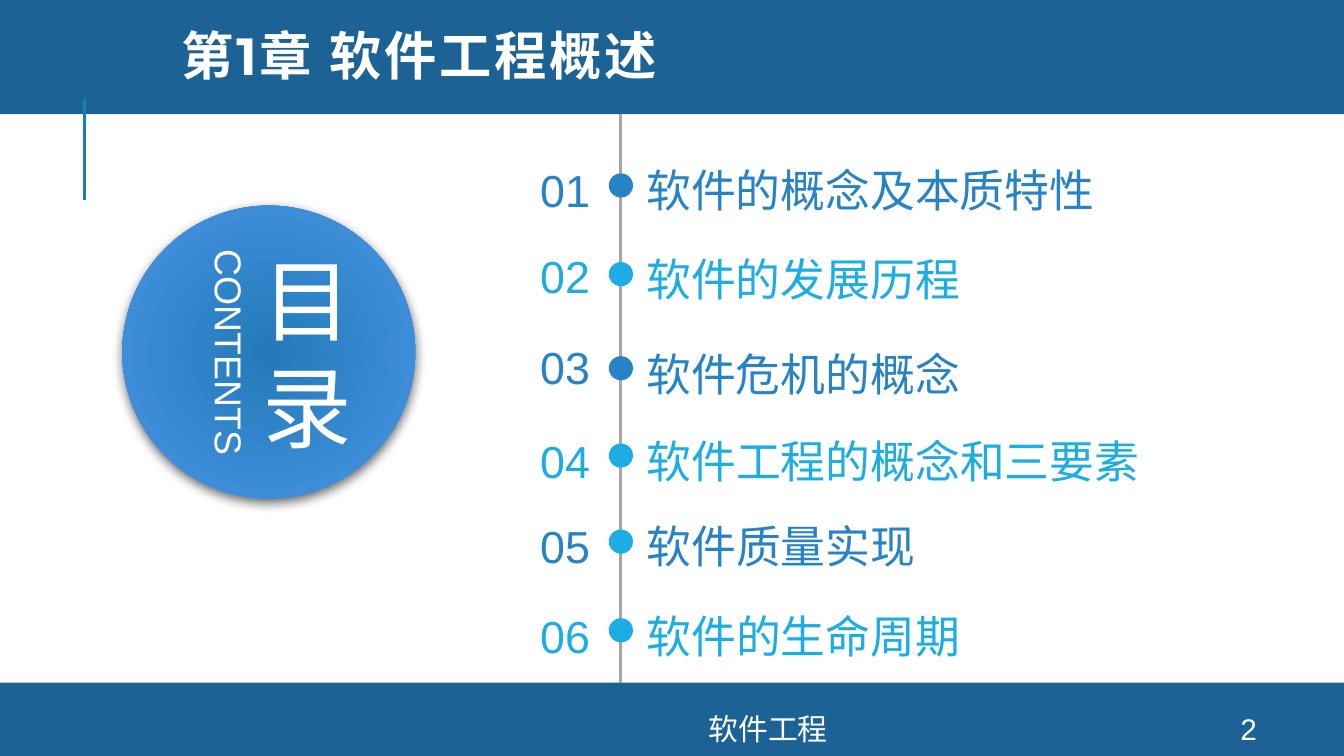
from dataclasses import dataclass

from lxml.etree import SubElement
from pptx import Presentation
from pptx.dml.color import RGBColor
from pptx.enum.shapes import MSO_CONNECTOR as Connector, MSO_SHAPE as Shape
from pptx.enum.text import MSO_ANCHOR as Anchor, MSO_AUTO_SIZE as AutoSize, PP_ALIGN as Align
from pptx.oxml import parse_xml
from pptx.oxml.ns import nsdecls, qn
from pptx.util import Inches, Pt

NAVY, BLUE, SKY = "1D6294", "2683C6", "1CADE4"
WHITE, GRAY, TEAL = "FFFFFF", "A6A6A6", "1482AC"


@dataclass
class Entry:
    """One line of the contents; each part has its own top edge."""
    title: str
    color: str
    dot_color: str
    dot_top: float
    number_top: float
    title_top: float
    width: float


ENTRIES = [
    Entry("软件的概念及本质特性", BLUE, BLUE, 1.29, 1.21, 1.21, 3.37),
    Entry("软件的发展历程", SKY, SKY, 1.95, 1.85, 1.87, 3.37),
    Entry("软件危机的概念", BLUE, BLUE, 2.65, 2.53, 2.58, 3.37),
    Entry("软件工程的概念和三要素", SKY, SKY, 3.30, 3.23, 3.23, 4.01),
    Entry("软件质量实现", BLUE, SKY, 3.94, 3.86, 3.86, 4.01),
    Entry("软件的生命周期", SKY, SKY, 4.60, 4.53, 4.53, 4.01),
]


def rgb(value: str) -> RGBColor:
    return RGBColor.from_string(value)


def place(box, left: float, top: float, width: float, height: float) -> None:
    box.left, box.top = Inches(left), Inches(top)
    box.width, box.height = Inches(width), Inches(height)


def write(box, text: str, *, size: float, color: str, font: str = "Arial", bold: bool = False,
          align=Align.LEFT, anchor=Anchor.TOP, inset: bool = True, grow: bool = False,
          spacing: float = 0, line_spacing: float = 1.0) -> None:
    """Fill a box with one paragraph per line of text; spacing is in points."""
    frame = box.text_frame
    frame.text = text
    frame.word_wrap = True
    frame.auto_size = AutoSize.SHAPE_TO_FIT_TEXT if grow else AutoSize.NONE
    frame.vertical_anchor = anchor
    if not inset:
        frame.margin_left = frame.margin_right = frame.margin_top = frame.margin_bottom = 0
    for para in frame.paragraphs:
        para.alignment = align
        para.line_spacing = line_spacing
        for span in para.runs:
            span.font.size = Pt(size)
            span.font.name = font
            span.font.bold = bold
            span.font.color.rgb = rgb(color)
            if spacing:
                span.font._element.set("spc", str(round(spacing * 100)))


def add_text(page, text: str, left: float, top: float, width: float, height: float, **style):
    box = page.shapes.add_textbox(0, 0, 0, 0)
    write(box, text, **style)
    place(box, left, top, width, height)
    return box


def add_filled(page, kind, left: float, top: float, width: float, height: float, color: str):
    shape = page.shapes.add_shape(kind, Inches(left), Inches(top), Inches(width), Inches(height))
    shape.shadow.inherit = False
    shape.fill.solid()
    shape.fill.fore_color.rgb = rgb(color)
    shape.line.fill.background()
    return shape


def add_vertical(page, x: float, start: float, end: float, color: str) -> None:
    line = page.shapes.add_connector(
        Connector.STRAIGHT, Inches(x), Inches(start), Inches(x), Inches(end))
    line.line.color.rgb = rgb(color)
    line.line.width = Pt(1.5)
    SubElement(line._element.spPr, qn("a:effectLst"))


def add_badge(page) -> None:
    """Draw the round contents badge with a radial gradient and soft shadow."""
    badge = add_filled(page, Shape.OVAL, 0.91, 1.53, 2.18, 2.18, BLUE)
    properties = badge._element.spPr
    gradient = parse_xml(
        f'<a:gradFill {nsdecls("a")} rotWithShape="1"><a:gsLst>'
        '<a:gs pos="0"><a:srgbClr val="237AB8"/></a:gs>'
        '<a:gs pos="100000"><a:srgbClr val="4895E7"/></a:gs></a:gsLst>'
        '<a:path path="circle"><a:fillToRect l="100000" t="100000" r="100000" b="100000"/>'
        '</a:path></a:gradFill>')
    properties.replace(properties.find(qn("a:solidFill")), gradient)
    shadow = parse_xml(
        f'<a:outerShdw {nsdecls("a")} blurRad="{Pt(6)}" dist="{Pt(2)}" dir="5400000" '
        'algn="t" rotWithShape="0"><a:srgbClr val="000000"><a:alpha val="60000"/>'
        '</a:srgbClr></a:outerShdw>')
    properties.find(qn("a:effectLst")).append(shadow)
    add_text(page, "目\n录", 1.58, 1.61, 1.41, 2.02, size=48, color=WHITE, spacing=6,
             align=Align.CENTER, anchor=Anchor.MIDDLE, inset=False)
    caption = add_text(page, "CONTENTS", 0.65, 2.4, 2.11, 0.44, size=20, color=WHITE,
                       align=Align.CENTER, grow=True)
    caption.rotation = 90


def add_entry(page, number: int, entry: Entry) -> None:
    style = dict(size=24, color=entry.color, inset=False, grow=True)
    add_filled(page, Shape.OVAL, 4.53, entry.dot_top, 0.18, 0.18, entry.dot_color)
    add_text(page, f"{number:02}", 3.8, entry.number_top, 0.59, 0.4, align=Align.RIGHT, **style)
    add_text(page, entry.title, 4.81, entry.title_top, entry.width, 0.4, **style)


def main() -> None:
    deck = Presentation()
    deck.slide_width = Inches(10)
    deck.slide_height = deck.slide_width * 9 // 16
    page = deck.slides.add_slide(deck.slide_layouts[5])

    add_filled(page, Shape.RECTANGLE, 0, -0.03, 10, 0.88, NAVY)
    bottom_band = add_filled(page, Shape.RECTANGLE, 0, 5.08, 10, 0.54, NAVY)
    bottom_band.height = deck.slide_height - bottom_band.top
    add_vertical(page, 0.63, 0.74, 1.49, TEAL)
    add_vertical(page, 4.62, 0.85, 5.08, GRAY)
    add_badge(page)

    title = page.shapes.title
    place(title, 1.25, 0.09, 8.26, 0.72)
    write(title, "第1章 软件工程概述", size=28, color=WHITE, font="Montserrat", bold=True,
          anchor=Anchor.MIDDLE, spacing=1.5, line_spacing=0.8)
    page.shapes._spTree.append(title._element)  # in front of the top band

    for number, entry in enumerate(ENTRIES, start=1):
        add_entry(page, number, entry)

    for text, left, width in (("软件工程", 2.61, 6.21), ("2", 8.89, 0.8)):
        add_text(page, text, left, 5.31, width, 0.23, size=16, color=WHITE,
                 align=Align.CENTER, anchor=Anchor.MIDDLE)

    deck.save("out.pptx")


if __name__ == "__main__":
    main()
